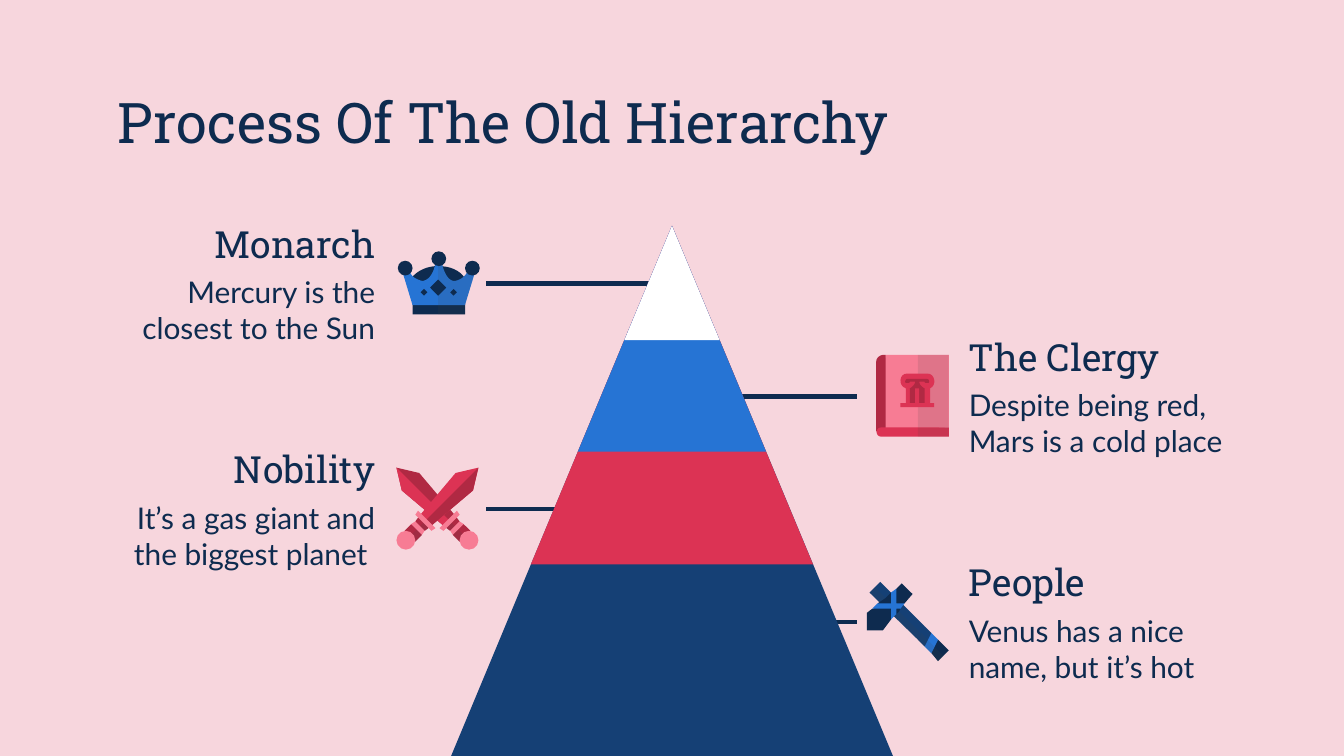
from lxml.etree import SubElement
from pptx import Presentation
from pptx.dml.color import RGBColor
from pptx.enum.shapes import MSO_CONNECTOR, MSO_SHAPE
from pptx.enum.text import MSO_ANCHOR, PP_ALIGN
from pptx.oxml.ns import qn
from pptx.util import Inches, Pt

INK, NAVY, BLUE = "0E2B4F", "154075", "2674D4"
RED, WINE, ROSE = "DC3354", "B02943", "F77C94"
PINK, WHITE, SHADE = "F7D6DD", "FFFFFF", "434343"
RECT, OVAL, PEAK = MSO_SHAPE.RECTANGLE, MSO_SHAPE.OVAL, MSO_SHAPE.ISOSCELES_TRIANGLE
TITLE, BODY = "Roboto Slab", "Lato"


def rgb(code):
    return RGBColor.from_string(code)


def trace(path):
    """Turn 'x,y' points into a list; C bends through the next three points."""
    marks, spots = iter(path.split()), []

    def pair(mark):
        return tuple(float(n) for n in mark.split(","))

    for mark in marks:
        if mark != "C":
            spots.append(pair(mark))
            continue
        a, (b, c, d) = spots[-1], [pair(next(marks)) for _ in range(3)]
        for step in range(1, 9):
            t = step / 8
            u = 1 - t
            spots.append(tuple(
                u**3 * a[i] + 3 * u * u * t * b[i] + 3 * u * t * t * c[i] + t**3 * d[i]
                for i in (0, 1)))
    return spots


class Deck:
    def __init__(self):
        self.file = Presentation()
        self.file.slide_width = Inches(10)
        self.file.slide_height = Inches(10 * 9 / 16)
        self.slide = self.file.slides.add_slide(self.file.slide_layouts[6])
        self.slide.background.fill.solid()
        self.slide.background.fill.fore_color.rgb = rgb(PINK)
        self.shapes = self.slide.shapes

    def paint(self, shape, hue):
        """Fill flat with no line; SHADE is laid on as a thin veil."""
        shape.shadow.inherit = False
        shape.fill.solid()
        shape.fill.fore_color.rgb = rgb(hue)
        shape.line.fill.background()
        if hue == SHADE:
            tone = shape.fill._xPr.find(qn("a:solidFill"))[0]
            SubElement(tone, qn("a:alpha"), val="13000")

    def form(self, kind, hue, x, y, w, h):
        self.paint(self.shapes.add_shape(kind, Inches(x), Inches(y), Inches(w), Inches(h)), hue)

    def poly(self, hue, path):
        self.draw(hue, trace(path))

    def draw(self, hue, spots):
        first, *rest = [(Inches(x), Inches(y)) for x, y in spots]
        pen = self.shapes.build_freeform(*first, scale=1.0)
        pen.add_line_segments(rest, close=True)
        self.paint(pen.convert_to_shape(), hue)

    def line(self, x, y, end):
        rule = self.shapes.add_connector(
            MSO_CONNECTOR.STRAIGHT, Inches(x), Inches(y), Inches(end), Inches(y))
        rule.line.color.rgb = rgb(INK)
        rule.line.width = Pt(2.25)
        SubElement(rule._element.spPr, qn("a:effectLst"))

    def text(self, words, x, y, w, h, size, font, side=PP_ALIGN.LEFT):
        frame = self.shapes.add_textbox(Inches(x), Inches(y), Inches(w), Inches(h)).text_frame
        frame.word_wrap = True
        frame.margin_left = frame.margin_right = Inches(0.1)
        frame.margin_top = frame.margin_bottom = Inches(0.1)
        frame.vertical_anchor = MSO_ANCHOR.TOP if font == BODY else MSO_ANCHOR.MIDDLE
        para = frame.paragraphs[0]
        para.alignment = side
        run = para.add_run()
        run.text = words
        run.font.size, run.font.name = Pt(size), font
        run.font.color.rgb = rgb(INK)


def book(deck):
    deck.poly(ROSE, "6.59,2.64 6.56,2.89 6.59,3.21 6.83,3.19 7.06,3.18 7.06,2.64")
    deck.form(RECT, SHADE, 6.83, 2.64, 0.23, 0.54)
    deck.poly(WINE, "6.58,2.64 C 6.55,2.64 6.52,2.66 6.52,2.69 6.52,3.21 6.59,3.21 6.59,2.64")
    deck.poly(RED, "6.56,3.18 C 6.51,3.18 6.51,3.25 6.56,3.25 7.06,3.25 7.06,3.18")
    deck.form(RECT, SHADE, 6.83, 3.18, 0.23, 0.07)
    deck.poly(RED, "6.75,2.78 C 6.69,2.78 6.68,2.87 6.74,2.89 6.74,3.02 6.92,3.02 "
                   "6.92,2.89 C 6.97,2.87 6.96,2.78 6.9,2.78")
    deck.poly(WINE, "6.75,2.82 C 6.74,2.82 6.73,2.84 6.74,2.85 C 6.74,2.85 6.75,2.85 6.75,2.85 "
                    "C 6.76,2.85 6.77,2.85 6.77,2.84 6.81,2.84 C 6.81,2.86 6.79,2.88 6.77,2.89 "
                    "6.77,3.02 6.88,3.02 6.88,2.89 C 6.86,2.88 6.84,2.86 6.84,2.84 6.88,2.84 "
                    "C 6.88,2.85 6.89,2.85 6.9,2.85 C 6.9,2.85 6.91,2.85 6.91,2.85 "
                    "C 6.92,2.84 6.91,2.82 6.9,2.82")
    deck.form(RECT, RED, 6.81, 2.89, 0.03, 0.13)
    deck.form(RECT, RED, 6.7, 3, 0.25, 0.03)


def hammer(deck):
    for hue, path in (
        (INK, "6.93,4.76 6.93,4.86 6.98,4.92 7.06,4.84 6.98,4.76"),
        (SHADE, "6.93,4.79 6.93,4.86 6.98,4.92 7.02,4.88"),
        (BLUE, "6.88,4.71 6.88,4.81 6.93,4.86 6.98,4.76 6.93,4.71"),
        (SHADE, "6.88,4.74 6.88,4.81 6.93,4.86 6.95,4.81"),
        (NAVY, "6.83,4.66 6.83,4.76 6.88,4.81 6.93,4.71 6.88,4.66"),
        (SHADE, "6.83,4.68 6.83,4.76 6.88,4.81 6.9,4.76"),
        (NAVY, "6.55,4.33 6.47,4.41 6.83,4.76 6.88,4.66"),
        (SHADE, "6.51,4.37 6.47,4.41 6.83,4.76 6.85,4.71"),
        (INK, "6.71,4.34 6.67,4.38 6.65,4.44 6.63,4.41 6.59,4.45 6.53,4.49 6.56,4.51 "
              "6.49,4.53 6.45,4.56 6.45,4.69 6.57,4.69 6.63,4.61 6.65,4.54 6.67,4.57 "
              "6.69,4.55 6.7,4.53 6.67,4.51 6.73,4.49 6.79,4.42"),
        (BLUE, "6.67,4.38 6.63,4.41 6.63,4.49 6.53,4.49 6.49,4.53 6.63,4.53 6.63,4.61 "
               "6.67,4.57 6.67,4.53 6.7,4.53 6.73,4.49 6.67,4.49"),
    ):
        deck.poly(hue, path)


def sword(deck, blade, edge, flip):
    """Draw a sword pointing up left, or its mirror."""
    def part(hue, path):
        deck.draw(hue, [(6.51 - x if flip else x, y) for x, y in trace(path)])

    part(blade, "2.95,3.48 2.99,3.65 3.31,3.92 3.39,3.84 3.12,3.52")
    part(edge, "2.95,3.48 2.99,3.65 3.31,3.92 3.35,3.88")
    part(WINE, "3.39,3.84 3.31,3.92 3.35,3.95 3.38,3.94 3.37,3.98 3.42,4.03 "
               "3.5,3.95 3.45,3.9 3.41,3.91 3.42,3.88")
    part(SHADE, "3.35,3.88 3.31,3.92 3.35,3.95 3.38,3.94 3.37,3.98 3.42,4.03 3.46,3.99")
    deck.form(OVAL, ROSE, 2.95 if flip else 3.42, 3.95, 0.14, 0.14)
    part(ROSE, "3.42,3.88 3.35,3.95 3.37,3.98 3.45,3.9")
    part(ROSE, "3.4,3.8 3.27,3.93 3.3,3.95 3.42,3.83")


def crown(deck):
    deck.form(RECT, INK, 3.07, 2.23, 0.39, 0.11)
    deck.form(RECT, SHADE, 3.26, 2.23, 0.2, 0.11)
    deck.poly(INK, "3.26,1.98 C 3.18,1.98 3.11,2.01 3.06,2.07 3.09,2.13 3.43,2.13 "
                   "3.46,2.07 C 3.42,2.01 3.35,1.98 3.26,1.98")
    right = ("3.46,2.27 3.53,2.04 3.48,2.02 C 3.46,2.06 3.43,2.08 3.39,2.09 3.37,2.09 "
             "C 3.33,2.08 3.3,2.02 3.29,1.96")
    deck.poly(BLUE, "3.24,1.96 C 3.23,2.02 3.2,2.08 3.15,2.09 3.14,2.09 "
                    "C 3.1,2.08 3.06,2.06 3.05,2.02 3,2.04 3.07,2.27 " + right)
    deck.poly(SHADE, "3.26,1.96 3.26,2.27 " + right)
    for x, y in ((2.96, 1.94), (3.46, 1.94), (3.21, 1.87)):
        deck.form(OVAL, INK, x, y, 0.11, 0.11)
    for x, y, size in ((3.2, 2.08, 0.12), (3.35, 2.15, 0.05), (3.13, 2.15, 0.05)):
        deck.form(MSO_SHAPE.DIAMOND, INK, x, y, size, size)


def main():
    deck = Deck()
    ranks = (
        ("Monarch", "Mercury is the closest to the Sun"),
        ("The Clergy", "Despite being red, Mars is a cold place"),
        ("Nobility", "It’s a gas giant and the biggest planet "),
        ("People", "Venus has a nice name, but it’s hot"),
    )
    rows = [2.11 + 0.84 * i for i in range(4)]
    for i, y in enumerate(rows):
        x = 5.08 if i % 2 else 3.62
        deck.line(x, y, x + 1.3)
    for hue, tall in ((NAVY, 3.95), (RED, 2.52), (BLUE, 1.68), (WHITE, 0.85)):
        wide = tall * 5 / 6
        deck.form(PEAK, hue, 5 - wide / 2, 1.68, wide, tall)
    deck.text("Process Of The Old Hierarchy", 0.78, 0.59, 8.44, 0.63, 30, TITLE)
    for i, (y, (name, note)) in enumerate(zip(rows, ranks)):
        x, side = (7.11, PP_ALIGN.LEFT) if i % 2 else (0.78, PP_ALIGN.RIGHT)
        deck.text(note, x, y - 0.17, 2.11, 0.63, 16, BODY, side)
        deck.text(name, x, y - 0.58, 2.11, 0.56, 20, TITLE, side)
    book(deck)
    hammer(deck)
    sword(deck, WINE, RED, False)
    sword(deck, RED, WINE, True)
    crown(deck)
    deck.file.save("out.pptx")


if __name__ == "__main__":
    main()
